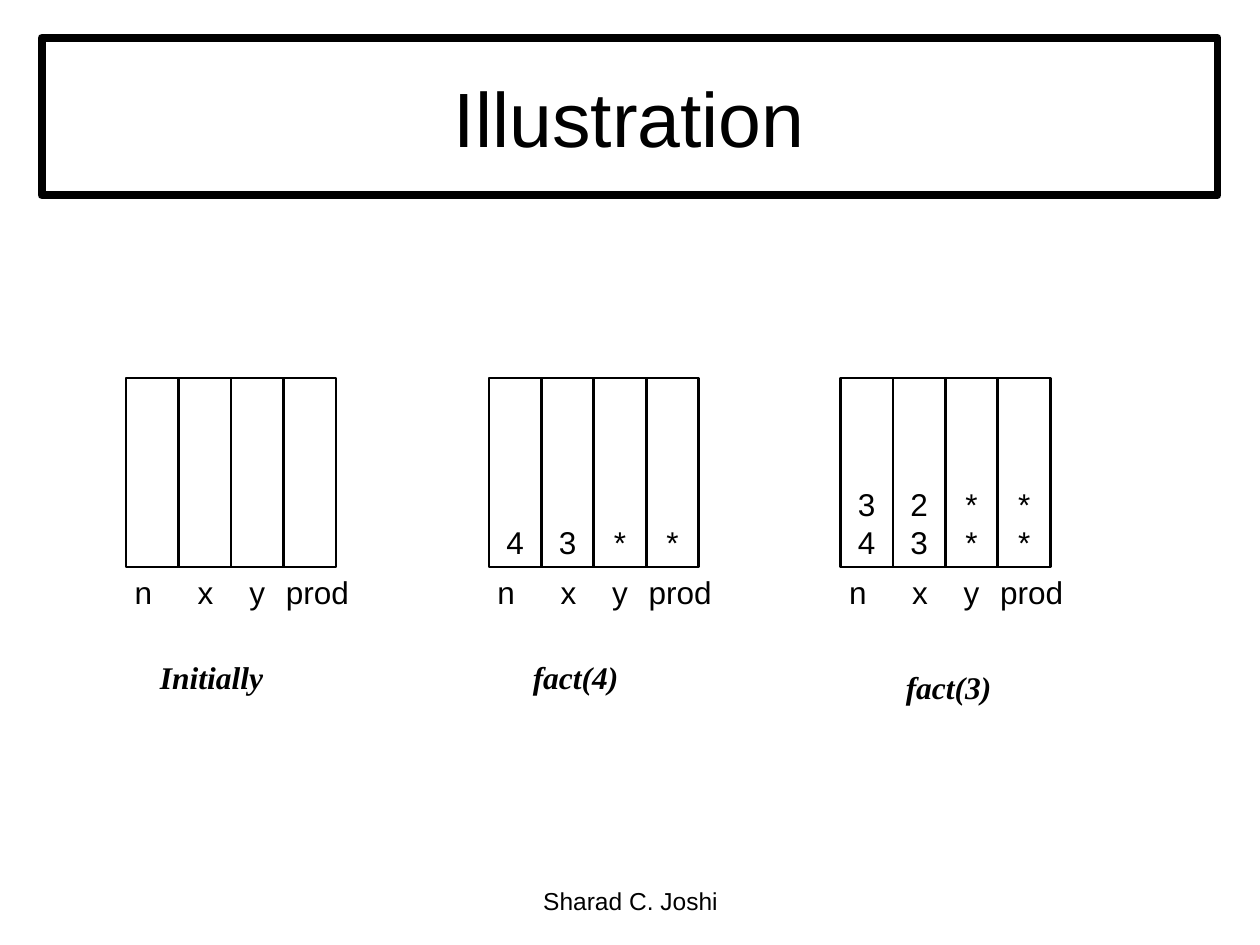
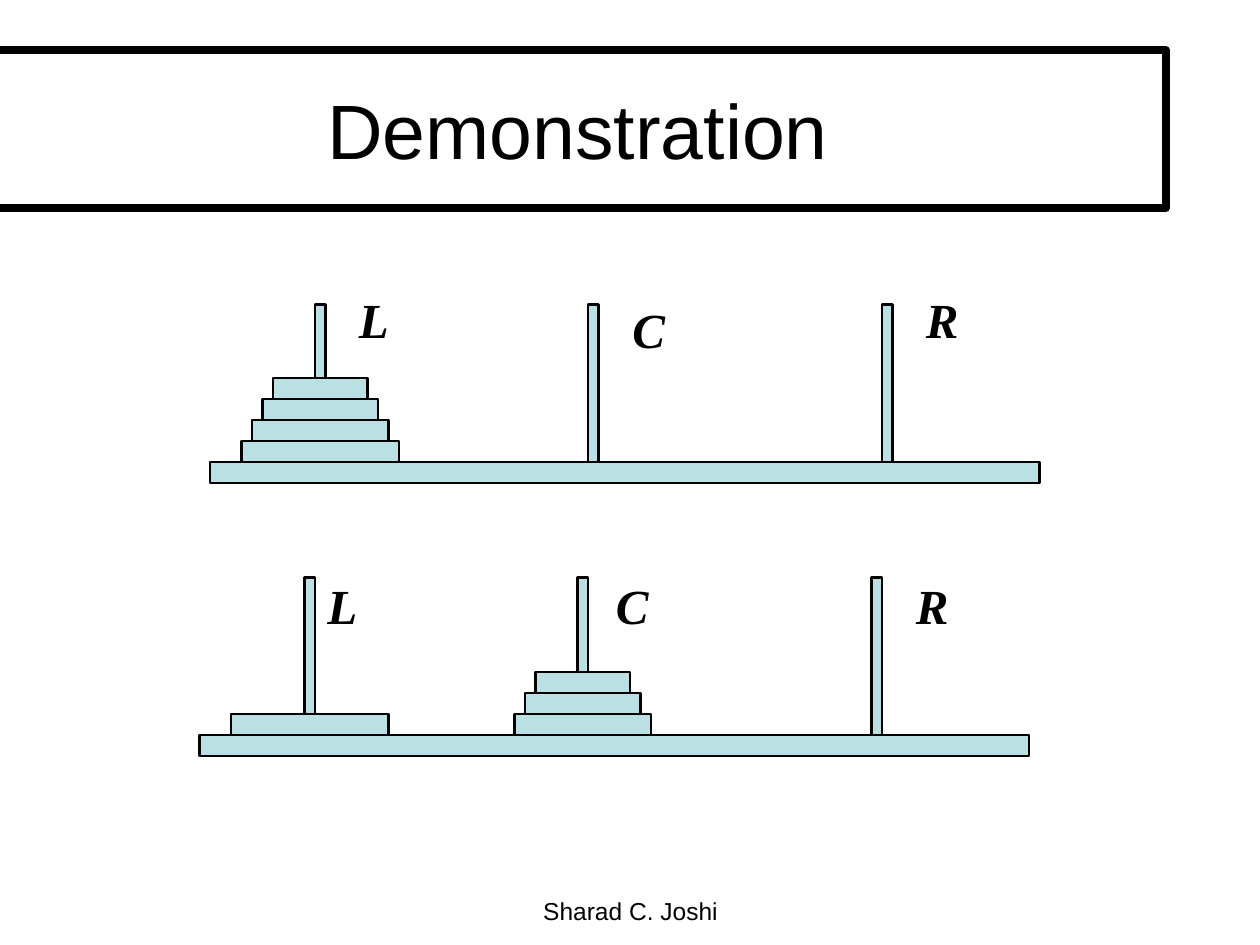
from pptx import Presentation
from pptx.dml.color import RGBColor
from pptx.enum.shapes import MSO_SHAPE as Shape
from pptx.enum.text import MSO_ANCHOR as Anchor, MSO_AUTO_SIZE as AutoSize, PP_ALIGN as Align
from pptx.util import Inches, Pt

COLORS = {"ink": "000000", "wood": "BBE0E3"}
SANS, SERIF = "Arial", "Times New Roman"
UNIT = 1 / 12
AUTHOR = "Sharad C. Joshi"

VARIABLES = [("n", -0.03, 0.34), ("x", 0.47, 0.32), ("y", 0.88, 0.32), ("prod", 1.17, 0.7)]
STACK_TOP, CELL_W, CELL_H = 3, 5 * UNIT, 1.5
STACKS = [
    {"left": 1, "frames": [], "caption": ("Initially", 1.17, 5.17, 1.02)},
    {"left": 3.88, "frames": ["43**"], "caption": ("fact(4)", 4.13, 5.17, 0.88)},
    {"left": 6.67, "frames": ["32**", "43**"], "caption": ("fact(3)", 7.09, 5.25, 0.88)},
]

BASE_W, BASE_H, PEG_H = 79, 2, 15
PEG_OFFSETS = [10, 36, 64]
TOWERS = [
    {"base": (20, 44), "disks": [(15, 13, 11, 9), (), ()],
     "labels": [("L", 2.75, 2.25), ("C", 4.92, 2.33), ("R", 7.25, 2.25)]},
    {"base": (19, 70), "disks": [(15,), (13, 11, 9), ()],
     "labels": [("L", 2.5, 4.52), ("C", 4.79, 4.52), ("R", 7.17, 4.52)]},
]


def color(name):
    return RGBColor.from_string(COLORS[name])


def outline(shape, width):
    shape.line.color.rgb = color("ink")
    shape.line.width = Pt(width)


def write(frame, lines, size, font=SANS, align=Align.LEFT, emphasis=False):
    frame.text = "\n".join(lines)
    for paragraph in frame.paragraphs:
        paragraph.alignment = align
        paragraph.font.name = font
        paragraph.font.size = Pt(size)
        paragraph.font.color.rgb = color("ink")
        if emphasis:
            paragraph.font.bold = paragraph.font.italic = True


def add_box(slide, left, top, width, height, fill=None):
    box = slide.shapes.add_shape(
        Shape.RECTANGLE, *(Inches(v) for v in (left, top, width, height)))
    box.shadow.inherit = False
    outline(box, 1.5)
    if fill:
        box.fill.solid()
        box.fill.fore_color.rgb = color(fill)
    else:
        box.fill.background()
    return box


def add_label(slide, text, left, top, width, height, size, wrap=False, **style):
    frame = slide.shapes.add_textbox(
        *(Inches(v) for v in (left, top, width, height))).text_frame
    frame.word_wrap = wrap
    frame.auto_size = AutoSize.NONE if wrap else AutoSize.SHAPE_TO_FIT_TEXT
    write(frame, [text], size, **style)


def add_slide(deck, heading, left, top, footer_top):
    slide = deck.slides.add_slide(deck.slide_layouts[5])
    title = slide.shapes.title
    title.left, title.top = Inches(left), Inches(top)
    title.width, title.height = Inches(112 * UNIT), Inches(15 * UNIT)
    outline(title, 4.5)
    title.text_frame.auto_size = AutoSize.NONE
    title.text_frame.vertical_anchor = Anchor.MIDDLE
    write(title.text_frame, [heading], 44, align=Align.CENTER)
    add_label(slide, AUTHOR, 3.42, footer_top, 3.17, 0.52, 14, wrap=True, align=Align.CENTER)
    return slide


def draw_stack(slide, left, frames, caption):
    for column, (variable, offset, width) in enumerate(VARIABLES):
        cell = add_box(slide, left + column * CELL_W, STACK_TOP, CELL_W, CELL_H)
        if frames:
            cell.text_frame.vertical_anchor = Anchor.BOTTOM
            cell.text_frame.word_wrap = False
            write(cell.text_frame, [values[column] for values in frames], 18, align=Align.CENTER)
        add_label(slide, variable, left + offset, STACK_TOP + CELL_H, width, 0.4, 18)
    text, caption_left, caption_top, caption_width = caption
    add_label(slide, text, caption_left, caption_top, caption_width, 0.4, 18,
              font=SERIF, emphasis=True)


def draw_tower(slide, base, disks, labels):
    def add_part(*grid):
        add_box(slide, *(v * UNIT for v in grid), fill="wood")

    left, top = base
    add_part(left, top, BASE_W, BASE_H)
    for offset, widths in zip(PEG_OFFSETS, disks):
        peg = left + offset
        add_part(peg, top - PEG_H, 1, PEG_H)
        for level, width in enumerate(widths, 1):
            add_part(peg + (1 - width) / 2, top - level * BASE_H, width, BASE_H)
    for letter, label_left, label_top in labels:
        add_label(slide, letter, label_left, label_top, 0.45, 0.57, 28,
                  font=SERIF, emphasis=True)


def main():
    deck = Presentation()
    deck.slide_width, deck.slide_height = Inches(10), Inches(7.5)
    illustration = add_slide(deck, "Illustration", 0.33, 0.3, 6.98)
    for stack in STACKS:
        draw_stack(illustration, **stack)
    demonstration = add_slide(deck, "Demonstration", -0.08, 0.4, 7.06)
    for tower in TOWERS:
        draw_tower(demonstration, **tower)
    deck.save("out.pptx")


if __name__ == "__main__":
    main()
